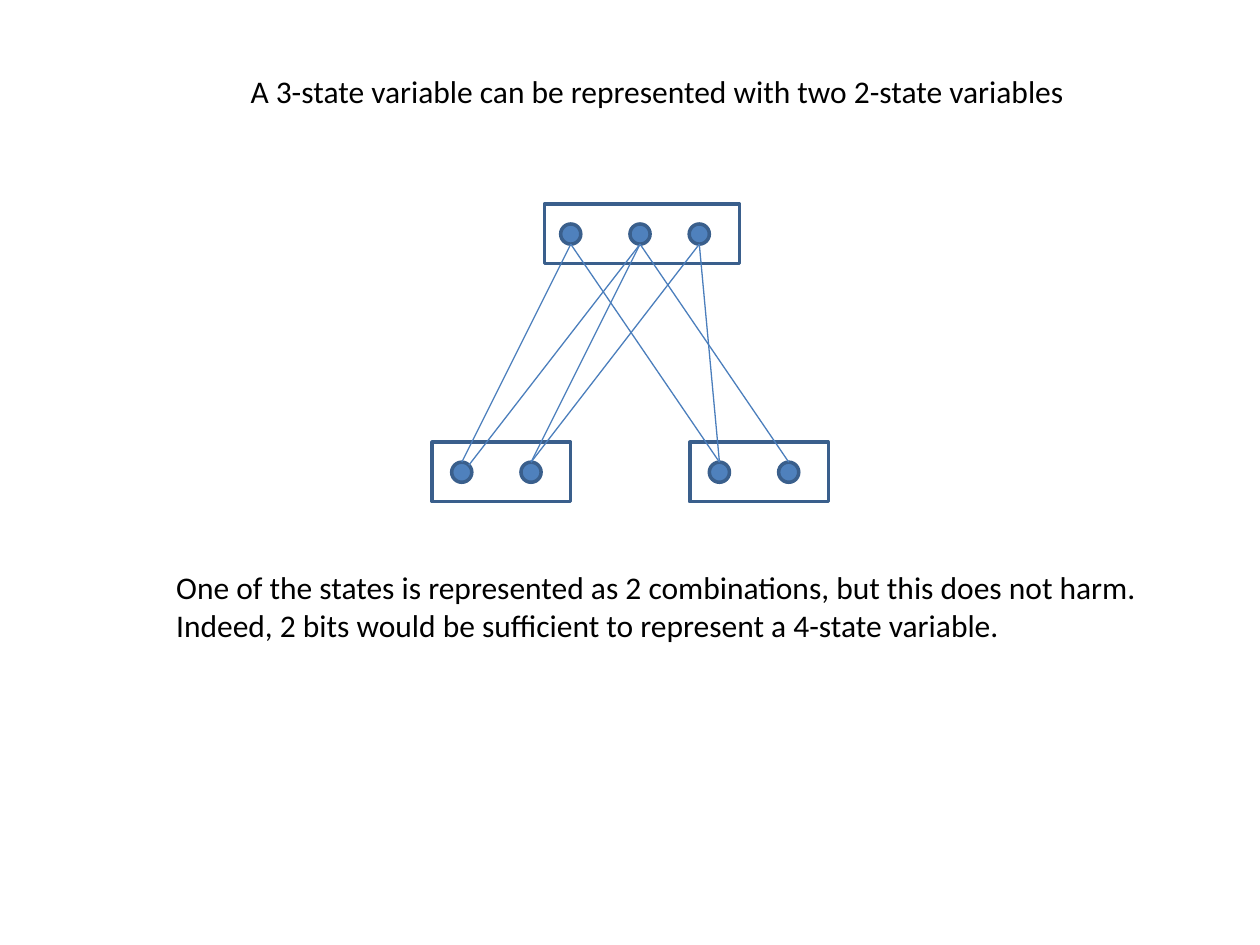
from lxml.etree import SubElement
from pptx import Presentation
from pptx.dml.color import RGBColor as RGB
from pptx.enum.shapes import MSO_CONNECTOR as LINE, MSO_SHAPE as SHAPE
from pptx.enum.text import MSO_AUTO_SIZE as FIT
from pptx.oxml.ns import qn
from pptx.util import Inches, Pt

COLORS = {"fill": "4F81BD", "edge": "3A5F8C", "link": "4B7EBC", "text": "000000"}
COLS, ROWS = 100, 75
DOT = 1.6


class Sketch:
    """Draws on one slide; lengths are columns and rows of a 100 by 75 grid."""

    def __init__(self, deck):
        self.slide = deck.slides.add_slide(deck.slide_layouts[6])
        self.shapes = self.slide.shapes
        self.col = deck.slide_width / COLS
        self.row = deck.slide_height / ROWS
        self.font, self.size = "Calibri", Pt(18)

    def color(self, name):
        return RGB.from_string(COLORS[name])

    def place(self, x, y, w, h):
        return [round(n) for n in (x * self.col, y * self.row, w * self.col, h * self.row)]

    def shape(self, kind, x, y, w, h, fill=None):
        item = self.shapes.add_shape(kind, *self.place(x, y, w, h))
        item.shadow.inherit = False
        if fill:
            item.fill.solid()
            item.fill.fore_color.rgb = self.color(fill)
        else:
            item.fill.background()
        item.line.color.rgb = self.color("edge")
        item.line.width = Pt(2)
        return item

    def states(self, x, y, width, dots):
        """Draw a variable's box with a dot at each offset; return the dots."""
        self.shape(SHAPE.RECTANGLE, x, y, width, 4.72)
        return [self.shape(SHAPE.OVAL, x + dx, y + 1.58, DOT, DOT, "fill") for dx in dots]

    def link(self, top, low, side=False):
        """Join a dot's bottom to a lower dot's top, or to its upper right."""
        x, y = top.left + top.width // 2, top.top + top.height
        end = (low.left + round(low.width * 0.85), low.top + round(low.height * 0.15))
        wire = self.shapes.add_connector(LINE.STRAIGHT, x, y, *end)
        if not side:
            wire.end_connect(low, 0)
        wire.line.color.rgb = self.color("link")
        wire.line.width = Pt(0.75)
        SubElement(wire.element.spPr, qn("a:effectLst"))

    def text(self, x, y, w, h, lines):
        frame = self.shapes.add_textbox(*self.place(x, y, w, h)).text_frame
        frame.word_wrap = False
        frame.auto_size = FIT.SHAPE_TO_FIT_TEXT
        for i, line in enumerate(lines):
            para = frame.add_paragraph() if i else frame.paragraphs[0]
            run = para.add_run()
            run.text = line
            run.font.name, run.font.size = self.font, self.size
            run.font.color.rgb = self.color("text")


def main():
    deck = Presentation()
    deck.slide_width, deck.slide_height = Inches(10), Inches(7.5)
    art = Sketch(deck)

    top = art.states(43.2, 16.2, 15.5, (1.3, 6.8, 11.5))
    left, right = (art.states(x, 35.1, 11, (1.55, 7.05)) for x in (34.3, 54.75))

    art.link(top[0], left[0])
    art.link(top[1], left[0], side=True)
    for start, end in ((1, left[1]), (2, left[1]), (1, right[1]), (2, right[0]), (0, right[0])):
        art.link(top[start], end)

    art.text(18.9, 5.2, 67.3, 4,
             ["A 3-state variable can be represented with two 2-state variables"])
    art.text(13, 44.6, 79.1, 7.1,
             ["One of the states is represented as 2 combinations, but this does not harm.",
              "Indeed, 2 bits would be sufficient to represent a 4-state variable."])
    deck.save("out.pptx")


if __name__ == "__main__":
    main()
